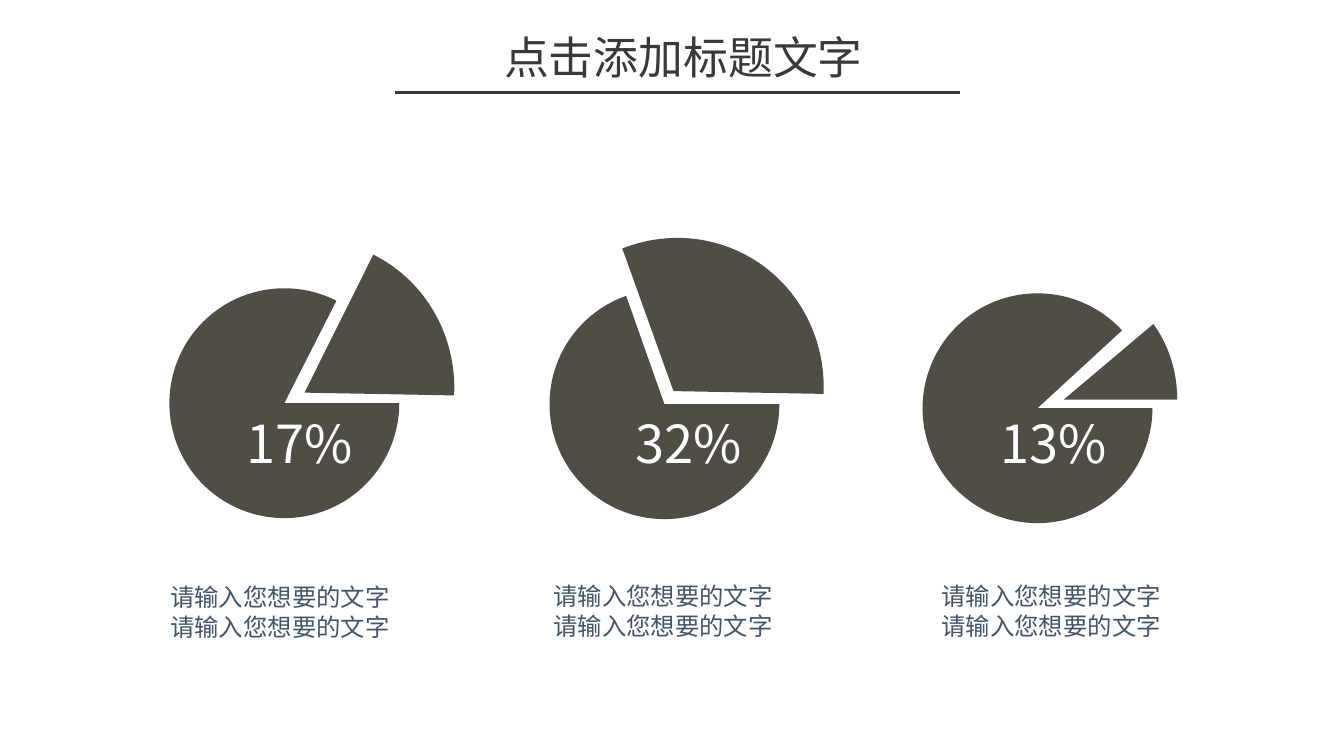
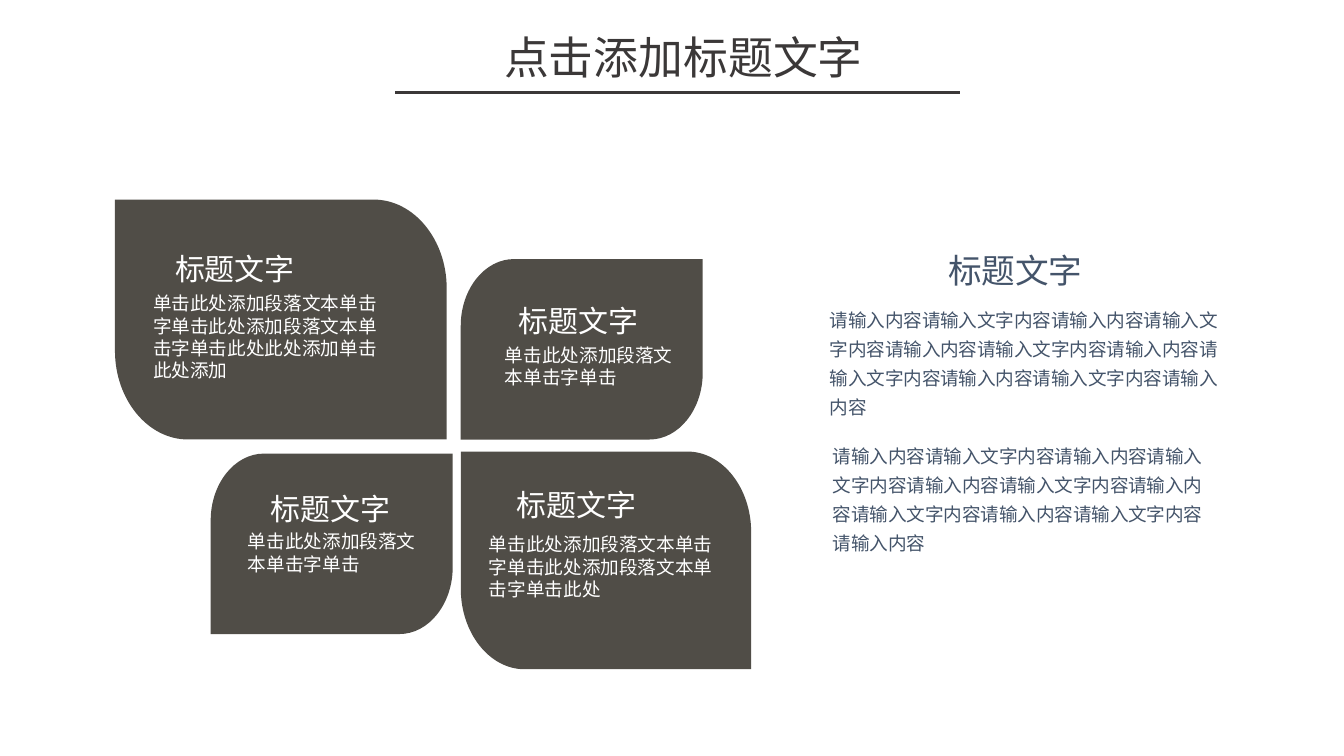
from lxml import etree
from pptx import Presentation
from pptx.dml.color import RGBColor
from pptx.enum.shapes import MSO_CONNECTOR, MSO_SHAPE
from pptx.enum.text import MSO_ANCHOR, MSO_AUTO_SIZE, PP_ALIGN
from pptx.oxml.ns import qn
from pptx.util import Inches, Pt

FONT = "Noto Sans CJK SC"
DARK, WHITE, SLATE, CHARCOAL = "504D47", "FFFFFF", "44546A", "3B3838"
LEFT, CENTER = PP_ALIGN.LEFT, PP_ALIGN.CENTER


def write(box, lines, size, color, align=LEFT, line_spacing=1.0, tracking=None):
    """Fill a text box or placeholder, one paragraph for each line."""
    frame = box.text_frame
    frame.word_wrap = True
    frame.auto_size = MSO_AUTO_SIZE.SHAPE_TO_FIT_TEXT
    frame.vertical_anchor = MSO_ANCHOR.TOP
    for index, line in enumerate(lines):
        para = frame.add_paragraph() if index else frame.paragraphs[0]
        para.alignment = align
        para.line_spacing = line_spacing
        span = para.add_run()
        span.text = line
        span.font.size = Pt(size)
        span.font.name = FONT
        span.font.color.rgb = RGBColor.from_string(color)
        properties = span._r.get_or_add_rPr()
        etree.SubElement(properties, qn("a:ea"), typeface=FONT)
        if tracking:
            properties.set("spc", str(tracking))


def paint(shape):
    shape.shadow.inherit = False
    shape.fill.solid()
    shape.fill.fore_color.rgb = RGBColor.from_string(DARK)
    shape.line.fill.background()


deck = Presentation()
deck.slide_width, deck.slide_height = Inches(13.33), Inches(7.5)

# Both pages share the title and the rule below it
pages = []
for _ in range(2):
    page = deck.slides.add_slide(deck.slide_layouts[5])
    title = page.shapes.title
    title.left, title.top = Inches(3.75), Inches(0.24)
    title.width, title.height = Inches(6.06), Inches(0.64)
    write(title, ["点击添加标题文字"], 32, CHARCOAL, CENTER)
    rule = page.shapes.add_connector(
        MSO_CONNECTOR.STRAIGHT, Inches(3.92), Inches(0.92), Inches(9.52), Inches(0.92))
    rule.line.color.rgb = RGBColor.from_string(CHARCOAL)
    rule.line.width = Pt(2)
    etree.SubElement(rule._element.spPr, qn("a:effectLst"))
    pages.append(page)
pie_page, leaf_page = pages

# Pies: each has a body and a wedge, given as (frame, angles, rotation)
PIE = 2.28
pies = [
    ("17%", (2.14, 1.66), (1.59, 5.73, 2.59, 0.68),
     [((1.68, 2.86, PIE, PIE), (0, 178.17), 0),
      ((1.49, 2.42, 3.06, 2.95), (0, 38.74), 296.5)]),
    ("32%", (5.91, 1.84), (5.39, 5.72, 2.57, 0.68),
     [((5.45, 2.87, PIE, PIE), (0, 150.32), 0),
      ((5.15, 2.4, 3.06, 2.96), (188.27, 38.74), 296.5)]),
    ("13%", (9.61, 1.69), (9.24, 5.72, 2.54, 0.68),
     [((9.15, 2.91, PIE, PIE), (0, 190.43), 0),
      ((9.34, 2.84, 2.42, 2.25), (27.58, 51.62), 273.9)]),
]
for percent, (label_left, label_width), caption_frame, parts in pies:
    for frame, angles, rotation in parts:
        sector = pie_page.shapes.add_shape(MSO_SHAPE.PIE, *map(Inches, frame))
        sector.adjustments[0], sector.adjustments[1] = angles
        sector.rotation = rotation
        paint(sector)
    label = pie_page.shapes.add_textbox(
        Inches(label_left), Inches(4.03), Inches(label_width), Inches(0.73))
    write(label, [percent], 37.4, WHITE, CENTER)
    caption = pie_page.shapes.add_textbox(*map(Inches, caption_frame))
    write(caption, ["请输入您想要的文字"] * 2, 17.4, SLATE)

# Leaves: frame, mirrored or not, heading frame, body frame, body text
leaves = [
    ((2.09, 4.5, 2.4, 1.79), False, (2.5, 4.89, 1.55, 0.39), (2.36, 5.21, 1.89, 0.55),
     "单击此处添加段落文本单击字单击"),
    ((1.14, 1.98, 3.29, 2.38), True, (1.23, 2.51, 2.2, 0.39), (1.42, 2.85, 2.49, 1),
     "单击此处添加段落文本单击字单击此处添加段落文本单击字单击此处此处添加单击此处添加"),
    ((4.57, 4.48, 2.88, 2.16), True, (4.88, 4.85, 1.67, 0.39), (4.75, 5.24, 2.55, 0.77),
     "单击此处添加段落文本单击字单击此处添加段落文本单击字单击此处"),
    ((4.57, 2.57, 2.4, 1.79), False, (4.84, 3.02, 1.8, 0.39), (4.91, 3.36, 1.94, 0.55),
     "单击此处添加段落文本单击字单击"),
]

# Leaf outline in a unit square; the third and last segments become curves
RADIUS_X, RADIUS_Y = 0.22, 0.37
CURVE = 0.55
outline = [(RADIUS_X, 0), (1, 0), (1, 1 - RADIUS_Y), (1 - RADIUS_X, 1),
           (0, 1), (0, RADIUS_Y), (RADIUS_X, 0)]

for (left, top, width, height), mirrored, heading_frame, body_frame, text in leaves:
    points = [(Inches(left + width * (1 - x if mirrored else x)), Inches(top + height * y))
              for x, y in outline]
    builder = leaf_page.shapes.build_freeform(*points[0])
    builder.add_line_segments(points[1:], close=True)
    leaf = builder.convert_to_shape()
    segments = list(leaf._element.iter(qn("a:lnTo")))
    for index in (2, 5):
        start_x, start_y = (int(segments[index - 1][0].get(axis)) for axis in "xy")
        end_x, end_y = (int(segments[index][0].get(axis)) for axis in "xy")
        curve = etree.Element(qn("a:cubicBezTo"))
        for x, y in [(start_x, start_y + CURVE * (end_y - start_y)),
                     (end_x + CURVE * (start_x - end_x), end_y), (end_x, end_y)]:
            etree.SubElement(curve, qn("a:pt"), x=str(round(x)), y=str(round(y)))
        segments[index].getparent().replace(segments[index], curve)
    paint(leaf)
    heading = leaf_page.shapes.add_textbox(*map(Inches, heading_frame))
    write(heading, ["标题文字"], 21.4, WHITE, CENTER, line_spacing=0.8)
    body = leaf_page.shapes.add_textbox(*map(Inches, body_frame))
    write(body, [text], 13.3, WHITE)

# Text column on the right
column_title = leaf_page.shapes.add_textbox(
    Inches(8.03), Inches(2.31), Inches(4.08), Inches(0.58))
write(column_title, ["标题文字"], 24, SLATE, CENTER, line_spacing=1.3)
column_text = "请输入内容" + "请输入文字内容请输入内容" * 5
for top, height, inset_x, inset_y in [(2.95, 1.24, 0.1, 0.05), (4.28, 1.27, 0.13, 0.07)]:
    column = leaf_page.shapes.add_textbox(
        Inches(8.13), Inches(top), Inches(4.08), Inches(height))
    frame = column.text_frame
    frame.margin_left = frame.margin_right = Inches(inset_x)
    frame.margin_top = frame.margin_bottom = Inches(inset_y)
    write(column, [column_text], 13.3, SLATE, line_spacing=1.3, tracking=-10)

deck.save("out.pptx")
